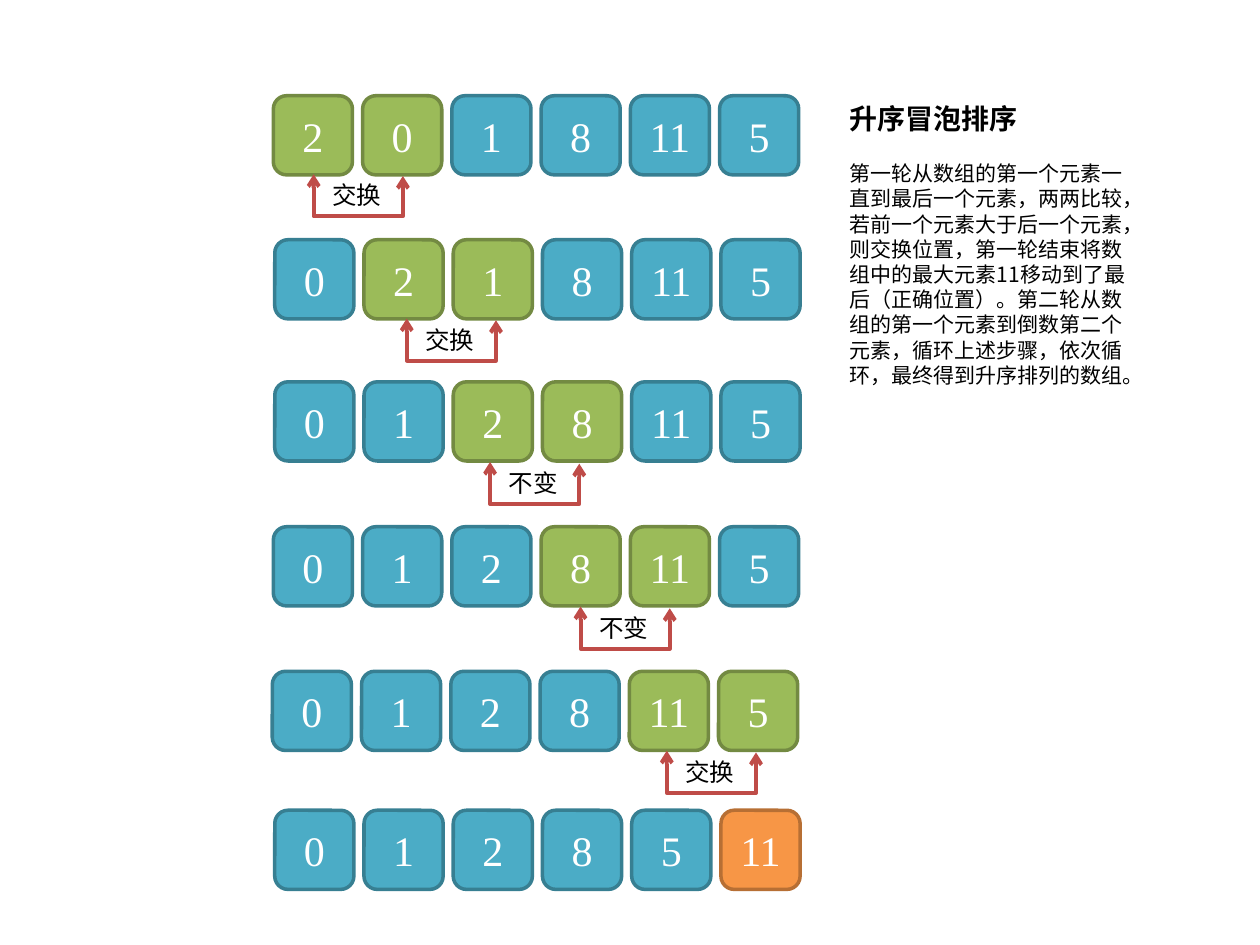
from pptx import Presentation
from pptx.dml.color import RGBColor
from pptx.enum.lang import MSO_LANGUAGE_ID as Lang
from pptx.enum.shapes import MSO_CONNECTOR as Link, MSO_SHAPE as Shape
from pptx.enum.text import MSO_ANCHOR as Anchor, PP_ALIGN as Align
from pptx.oxml.ns import qn
from pptx.util import Pt
from lxml.etree import SubElement

WHITE = RGBColor(0xFF, 0xFF, 0xFF)
BLACK = RGBColor(0, 0, 0)
RED = RGBColor(0xBF, 0x4C, 0x48)
BLUE = RGBColor(0x4B, 0xAC, 0xC6), RGBColor(0x37, 0x7F, 0x92)
GREEN = RGBColor(0x9B, 0xBB, 0x59), RGBColor(0x73, 0x8A, 0x42)
ORANGE = RGBColor(0xF7, 0x96, 0x46), RGBColor(0xB7, 0x6F, 0x34)
SERIF = "Times New Roman"
SANS = "Noto Sans CJK JP"

SIZE, STEP = 45.2, 51
DROP = 24.23

ROUNDS = [
    (156.2, 54.7, [2, 0, 1, 8, 11, 5], {0: GREEN, 1: GREEN}),
    (157, 137, [0, 2, 1, 8, 11, 5], {1: GREEN, 2: GREEN}),
    (157, 218.2, [0, 1, 2, 8, 11, 5], {2: GREEN, 3: GREEN}),
    (156.2, 301, [0, 1, 2, 8, 11, 5], {3: GREEN, 4: GREEN}),
    (155.6, 383.6, [0, 1, 2, 8, 11, 5], {4: GREEN, 5: GREEN}),
    (157, 463, [0, 1, 2, 8, 5, 11], {5: ORANGE}),
]
SWAPS = [
    (179.2, 99.6, "交换"),
    (232.4, 182, "交换"),
    (280, 264, "不变"),
    (331.7, 346.6, "不变"),
    (381, 429, "交换"),
]
TITLE = "升序冒泡排序"
BODY = ("第一轮从数组的第一个元素一直到最后一个元素，两两比较，"
        "若前一个元素大于后一个元素，则交换位置，第一轮结束将数组中的"
        "最大元素11移动到了最后（正确位置）。第二轮从数组的第一个元素到"
        "倒数第二个元素，循环上述步骤，依次循环，最终得到升序排列的数组。")


def write(para, text, font=SANS, size=12, color=BLACK, bold=False,
          align=Align.LEFT, before=0):
    para.alignment = align
    if before:
        para.space_before = Pt(before)
    run = para.add_run()
    run.text = text
    face = run.font
    face.name, face.size, face.bold = font, Pt(size), bold
    face.color.rgb = color
    face.language_id = Lang.SIMPLIFIED_CHINESE
    SubElement(run._r.get_or_add_rPr(), qn("a:ea"), typeface=font)


def add_box(x, y, w, h):
    frame = slide.shapes.add_textbox(Pt(x), Pt(y), Pt(w), Pt(h)).text_frame
    frame.word_wrap = True
    return frame


def add_cell(x, y, text, tone):
    cell = slide.shapes.add_shape(Shape.ROUNDED_RECTANGLE,
                                  Pt(x), Pt(y), Pt(SIZE), Pt(SIZE))
    cell.shadow.inherit = False
    cell.fill.solid()
    cell.fill.fore_color.rgb, cell.line.color.rgb = tone
    cell.line.width = Pt(2)
    frame = cell.text_frame
    frame.vertical_anchor = Anchor.MIDDLE
    write(frame.paragraphs[0], text, font=SERIF, size=24, color=WHITE,
          align=Align.CENTER)


def add_swap(x, y):
    mid, top = x + STEP / 2, y + 0.5 - STEP / 2
    link = slide.shapes.add_connector(Link.ELBOW, Pt(mid + 0.5), Pt(top),
                                      Pt(mid - 0.5), Pt(top + STEP))
    link.line.color.rgb = RED
    link.line.width = Pt(2.25)
    props = link._element.spPr
    props.find(qn("a:xfrm")).set("rot", str(270 * 60000))
    guides = props.find(qn("a:prstGeom")).find(qn("a:avLst"))
    SubElement(guides, qn("a:gd"), name="adj1",
               fmla=f"val {round(DROP * 100000)}")
    line = props.find(qn("a:ln"))
    for end in ("a:headEnd", "a:tailEnd"):
        SubElement(line, qn(end), type="arrow")
    SubElement(props, qn("a:effectLst"))


deck = Presentation()
deck.slide_width, deck.slide_height = Pt(720), Pt(540)
slide = deck.slides.add_slide(deck.slide_layouts[6])

for left, top, nums, marks in ROUNDS:
    for i, num in enumerate(nums):
        add_cell(left + i * STEP, top, str(num), marks.get(i, BLUE))

for x, y, label in SWAPS:
    add_swap(x, y)
    write(add_box(x + 3.6, y, 50.4, 24.5).paragraphs[0], label, size=14)

note = add_box(478.6, 54.7, 175.7, 172)
write(note.paragraphs[0], TITLE, size=16, bold=True)
write(note.add_paragraph(), BODY, before=14.4)

deck.save("out.pptx")
